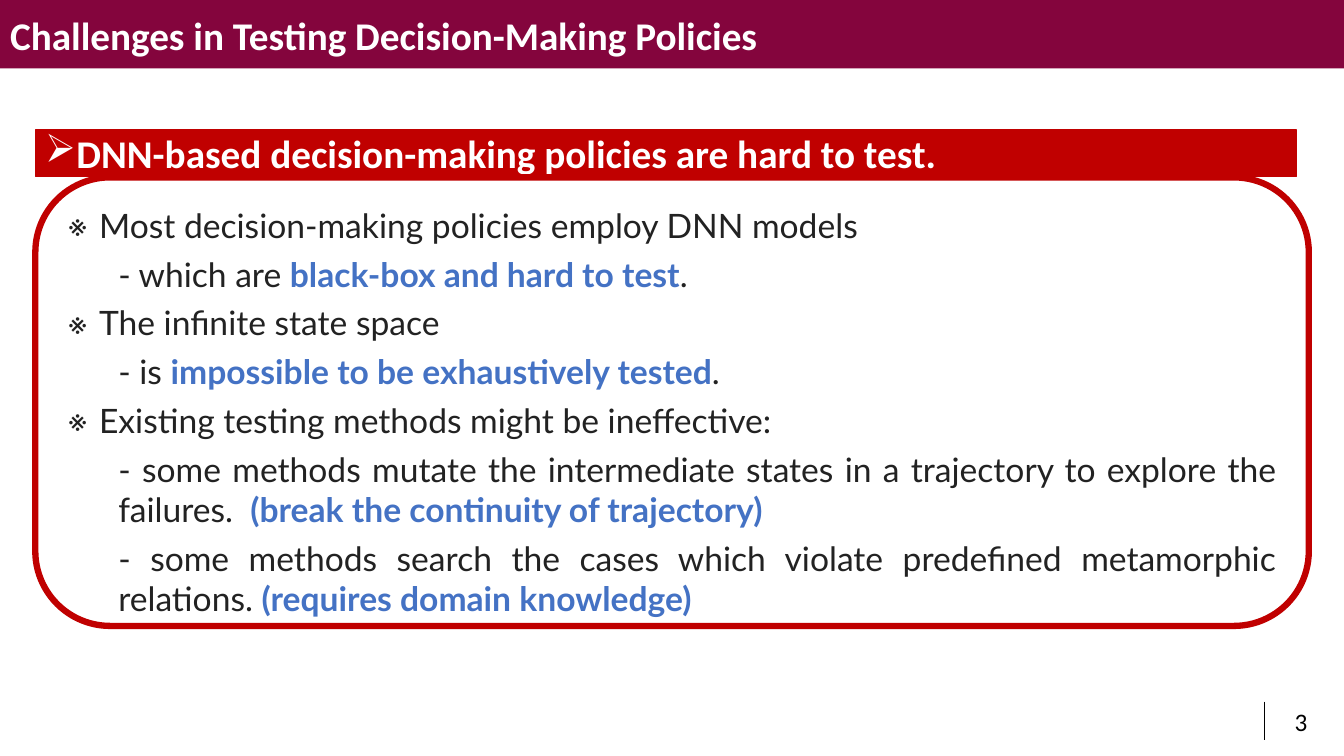
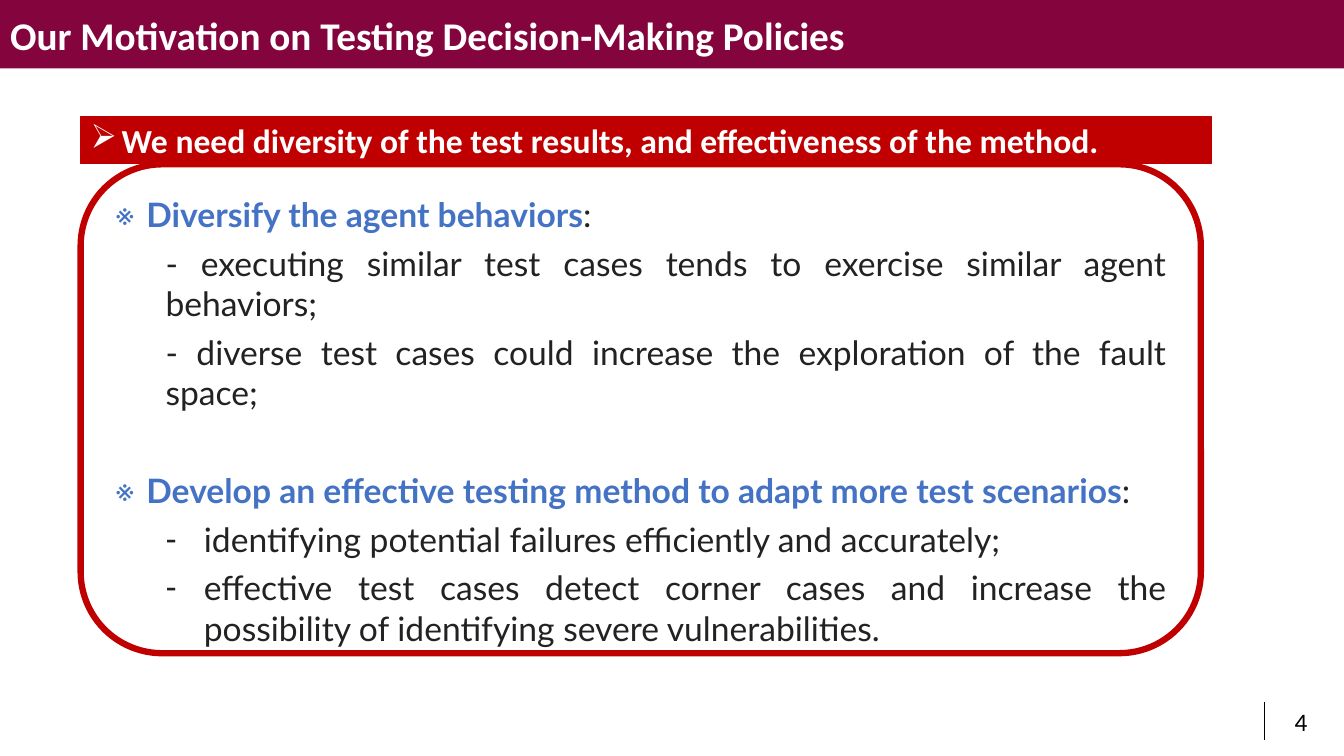
"""Build two slides on testing decision-making policies."""
from lxml import etree
from pptx import Presentation
from pptx.dml.color import RGBColor
from pptx.enum.shapes import MSO_CONNECTOR, MSO_SHAPE
from pptx.enum.text import MSO_ANCHOR, MSO_AUTO_SIZE, PP_ALIGN
from pptx.oxml.ns import qn
from pptx.util import Inches, Pt

RECT, ROUNDED = MSO_SHAPE.RECTANGLE, MSO_SHAPE.ROUNDED_RECTANGLE
STRAIGHT = MSO_CONNECTOR.STRAIGHT
TOP, MIDDLE = MSO_ANCHOR.TOP, MSO_ANCHOR.MIDDLE
LEFT, CENTER, JUSTIFY = PP_ALIGN.LEFT, PP_ALIGN.CENTER, PP_ALIGN.JUSTIFY
NO_FIT = MSO_AUTO_SIZE.NONE

COLORS = {
    "band": "84053D",
    "alert": "C00000",
    "accent": "4472C4",
    "text": "222222",
    "white": "FFFFFF",
    "black": "000000",
}
WIDTH, HEIGHT = Inches(13.33), Inches(7.5)
BANNER_HEIGHT, FRAME_OFFSET = 6.13, 6.27
CORNER_INSET = 0.05

POINT = {"bullet": "※", "margin": 0.31, "hanging": 0.31}
DETAIL = {"level": 1, "margin": 0.5}
DASH = {"level": 1, "bullet": "-", "margin": 0.88, "hanging": 0.38}
NEXT_POINT = {**POINT, "before": 35}

SLIDES = [
    {
        "title": "Challenges in Testing Decision-Making Policies",
        "number": 3,
        "claim": "DNN-based decision-making policies are hard to test.",
        "claim_size": 28,
        "corner": (2.63, 17.2),
        "banner_width": 93.85,
        "frame_size": (94.75, 59.33),
        "items": [
            (POINT, "Most decision-making policies employ DNN models"),
            (DETAIL, "- which are *black-box and hard to test*."),
            (POINT, "The infinite state space"),
            (DETAIL, "- is *impossible to be exhaustively tested*."),
            (POINT, "Existing testing methods might be ineffective:"),
            (DETAIL, "- some methods mutate the intermediate states in a trajectory "
                     "to explore the failures.  *(break the continuity of trajectory)*"),
            (DETAIL, "- some methods search the cases which violate predefined "
                     "metamorphic relations. *(requires domain knowledge)*"),
        ],
    },
    {
        "title": "Our Motivation on Testing Decision-Making Policies",
        "number": 4,
        "claim": "We need diversity of the test results, and effectiveness of the method.",
        "claim_size": 24,
        "corner": (6, 15.47),
        "banner_width": 84.17,
        "frame_size": (83.35, 64.67),
        "items": [
            (POINT, "*Diversify the agent behaviors*:"),
            (DETAIL, "- executing similar test cases tends to exercise similar agent behaviors;"),
            (DETAIL, "- diverse test cases could increase the exploration of the fault space;"),
            (NEXT_POINT, "*Develop an effective testing method to adapt more test scenarios*:"),
            (DASH, "identifying potential failures efficiently and accurately;"),
            (DASH, "effective test cases detect corner cases and increase the "
                   "possibility of identifying severe vulnerabilities."),
        ],
    },
]


def color(key):
    """Return the named colour."""
    return RGBColor.from_string(COLORS[key])


def across(percent):
    """Turn a percentage of the slide's width into a length."""
    return round(WIDTH * percent / 100)


def down(percent):
    """Turn a percentage of the slide's height into a length."""
    return round(HEIGHT * percent / 100)


def area(left, top, width, height):
    """Turn percentages of the slide into a position and size."""
    return across(left), down(top), across(width), down(height)


def place(holder, left, top, width, height):
    """Move and resize a placeholder."""
    holder.left, holder.top, holder.width, holder.height = left, top, width, height


def write(paragraph, text, size=24, font="Calibri", ink="white", bold=False,
          align=LEFT, level=0, bullet=None, margin=0, hanging=0, before=0, after=0):
    """Write text in a paragraph, with parts between asterisks accented."""
    paragraph.alignment, paragraph.level = align, level
    paragraph.space_before, paragraph.space_after = Pt(before), Pt(after)
    properties = paragraph._p.get_or_add_pPr()
    properties.set("marL", str(Inches(margin)))
    properties.set("indent", str(-Inches(hanging)))
    if bullet:
        etree.SubElement(properties, qn("a:buChar"), char=bullet)
    else:
        etree.SubElement(properties, qn("a:buNone"))
    for position, piece in enumerate(text.split("*")):
        if piece:
            accented = position % 2 == 1
            run = paragraph.add_run()
            run.text = piece
            run.font.name, run.font.size = font, Pt(size)
            run.font.bold = bold or accented
            run.font.color.rgb = color("accent" if accented else ink)


def add_box(slide, kind, box, fill=None, line=None, weight=1):
    """Add a preset shape with a plain fill and outline."""
    shape = slide.shapes.add_shape(kind, *box)
    shape.shadow.inherit = False
    if fill:
        shape.fill.solid()
        shape.fill.fore_color.rgb = color(fill)
    else:
        shape.fill.background()
    if line:
        shape.line.color.rgb = color(line)
        shape.line.width = Pt(weight)
    else:
        shape.line.fill.background()
    return shape


def add_divider(slide):
    """Add the thin line beside the slide number."""
    x = across(94.07)
    divider = slide.shapes.add_connector(STRAIGHT, x, down(92.8), x, down(97.87))
    divider.line.color.rgb = color("black")
    divider.line.width = Pt(1)
    etree.SubElement(divider.element.spPr, qn("a:effectLst"))
    return divider


def furnish_layout(layout, slide):
    """Give the layout its title place, band and divider."""
    title = layout.placeholders[0]
    place(title, *area(0, 0.8, 87.47, 7.6))
    title.text_frame.vertical_anchor = TOP
    title.text_frame.auto_size = NO_FIT
    band = add_box(slide, RECT, area(0, 0, 100, 9.07), fill="band")
    for shape_id, part in enumerate((band, add_divider(slide)), start=101):
        part.element.xpath(".//p:cNvPr")[0].set("id", str(shape_id))
        layout.shapes.element.append(part.element)


def add_number(slide, number):
    """Add the slide number as a field."""
    frame = slide.shapes.add_textbox(*area(94.22, 93.47, 5.18, 3.87)).text_frame
    frame.word_wrap = True
    frame.vertical_anchor = MIDDLE
    paragraph = frame.paragraphs[0]
    write(paragraph, str(number), size=18, ink="black", align=CENTER)
    field = paragraph._p.find(qn("a:r"))
    field.tag = qn("a:fld")
    field.set("id", "{B6F15528-21DE-4FAA-801E-634DDDAF4B2B}")
    field.set("type", "slidenum")


def add_claim(slide, claim, size, box):
    """Add the red banner with the slide's claim."""
    frame = add_box(slide, RECT, box, fill="alert", line="alert").text_frame
    frame.word_wrap = True
    frame.vertical_anchor = MIDDLE
    write(frame.paragraphs[0], claim, size=size, bold=True,
          bullet="➢", margin=0.31, hanging=0.31)


def add_list(slide, items, box):
    """Frame the body placeholder and fill it with the items."""
    add_box(slide, ROUNDED, box, line="alert", weight=4.5)
    left, top, width, height = box
    inset = round(height * CORNER_INSET)
    body = slide.placeholders[1]
    place(body, left + inset, top + inset, width - 2 * inset, height - 2 * inset)
    frame = body.text_frame
    frame.auto_size = NO_FIT
    frame.vertical_anchor = TOP
    for index, (style, text) in enumerate(items):
        paragraph = frame.add_paragraph() if index else frame.paragraphs[0]
        write(paragraph, text, font="Lato", ink="text", align=JUSTIFY, after=6, **style)


def fill_slide(slide, content):
    """Fill one slide with its title, claim, list and number."""
    write(slide.shapes.title.text_frame.paragraphs[0], content["title"], size=28, bold=True)
    left, top = content["corner"]
    add_claim(slide, content["claim"], content["claim_size"],
              area(left, top, content["banner_width"], BANNER_HEIGHT))
    add_list(slide, content["items"],
             area(left, top + FRAME_OFFSET, *content["frame_size"]))
    add_number(slide, content["number"])


def main():
    """Build and save the presentation."""
    deck = Presentation()
    deck.slide_width, deck.slide_height = WIDTH, HEIGHT
    deck.element.set("firstSlideNum", str(SLIDES[0]["number"]))
    layout = deck.slide_layouts[1]
    slides = [deck.slides.add_slide(layout) for _ in SLIDES]
    furnish_layout(layout, slides[0])
    for slide, content in zip(slides, SLIDES):
        fill_slide(slide, content)
    deck.save("out.pptx")


if __name__ == "__main__":
    main()
